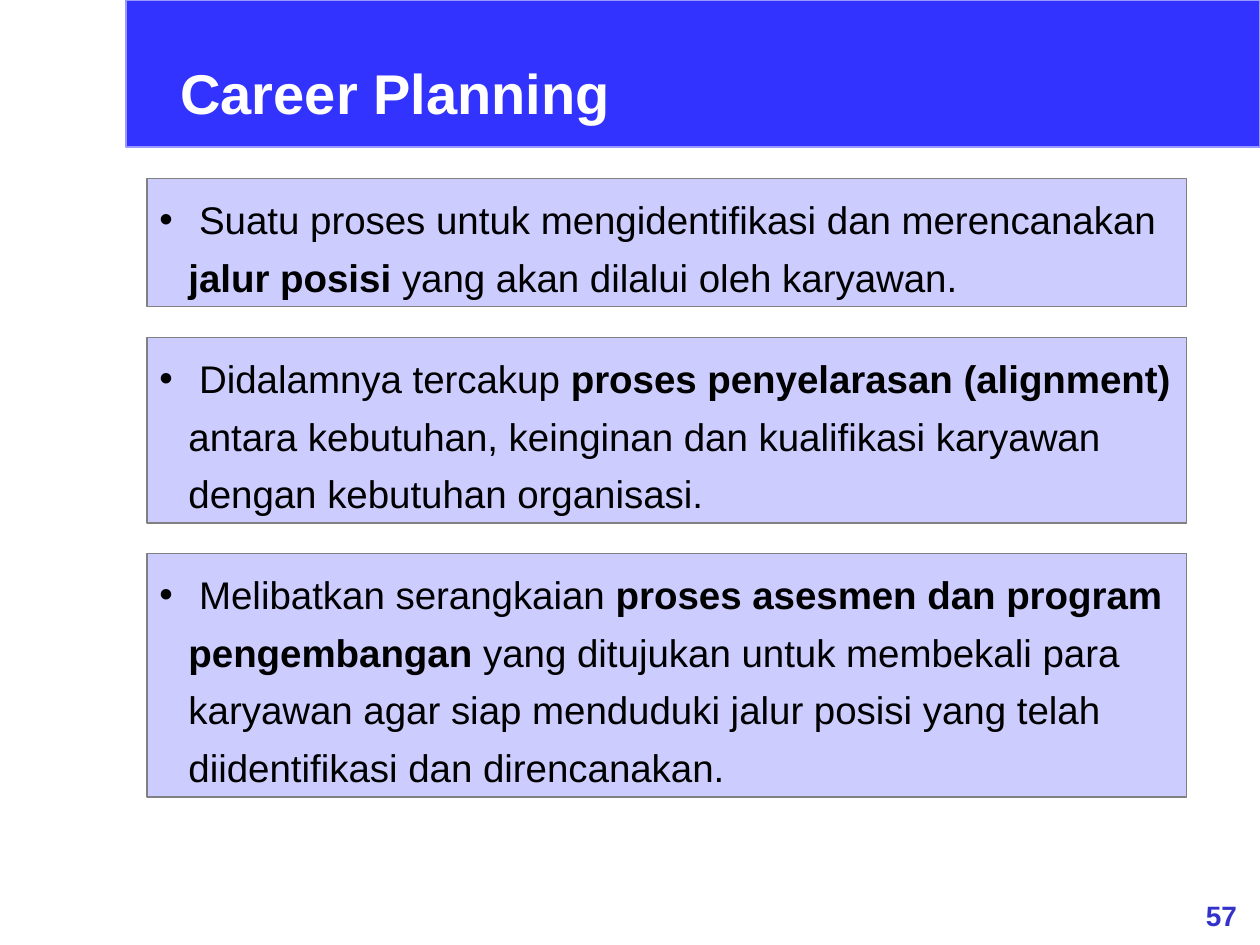
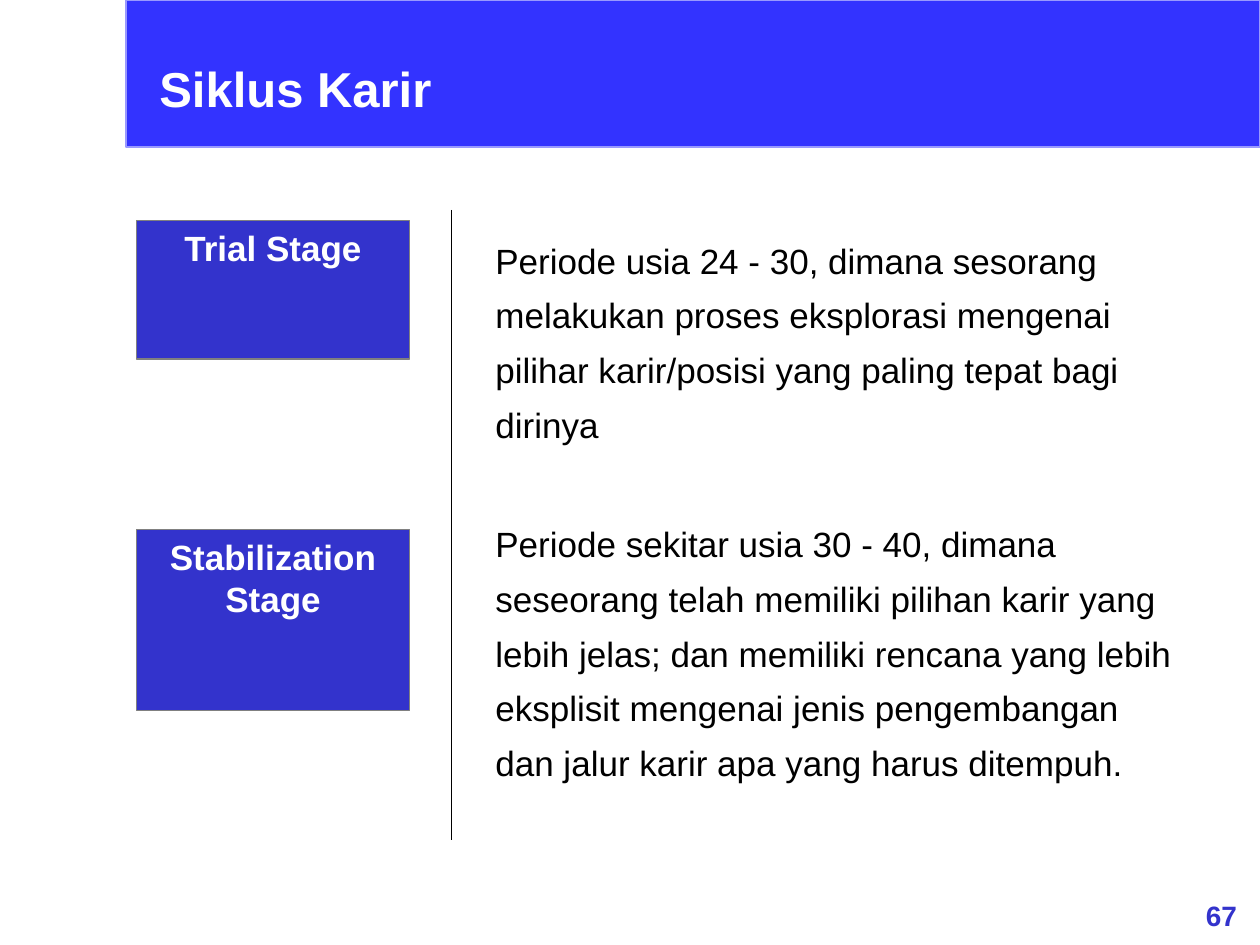
from typing import NamedTuple

from lxml.etree import SubElement
from pptx import Presentation
from pptx.dml.color import RGBColor
from pptx.enum.shapes import MSO_CONNECTOR, MSO_SHAPE
from pptx.enum.text import MSO_ANCHOR, PP_ALIGN
from pptx.oxml.ns import qn
from pptx.util import Pt

FONT = "Arial"
WHITE = RGBColor(0xFF, 0xFF, 0xFF)
BLACK = RGBColor(0x00, 0x00, 0x00)
GRAY = RGBColor(0x80, 0x80, 0x80)
BAND_BLUE = RGBColor(0x33, 0x33, 0xFF)
BAND_EDGE = RGBColor(0x99, 0x99, 0xFF)
DEEP_BLUE = RGBColor(0x33, 0x33, 0xCC)
LAVENDER = RGBColor(0xCC, 0xCC, 0xFF)

LINE_WIDTH = Pt(0.75)
BULLET_INDENT = Pt(16.6)
POINT_LINE_HEIGHT = 33
POINT_PADDING = 7.2
POINT_GAP = 17.3


class Box(NamedTuple):
    """Left, top, width and height in points."""
    left: float
    top: float
    width: float
    height: float

    def lengths(self):
        return [Pt(value) for value in self]


class Run(NamedTuple):
    text: str
    bold: bool = False


class Point(NamedTuple):
    line_count: int
    runs: list[Run]


class Stage(NamedTuple):
    name: str
    name_box: Box
    description: str
    description_box: Box


POINTS = [
    Point(2, [Run(" Suatu proses untuk mengidentifikasi dan merencanakan"),
              Run(" jalur posisi", True),
              Run(" yang akan dilalui oleh karyawan.")]),
    Point(3, [Run(" Didalamnya tercakup "),
              Run("proses penyelarasan (alignment) ", True),
              Run("antara kebutuhan, keinginan dan kualifikasi karyawan "
                  "dengan kebutuhan organisasi.")]),
    Point(4, [Run(" Melibatkan serangkaian "),
              Run("proses asesmen dan program pengembangan", True),
              Run(" yang ditujukan untuk membekali para karyawan agar siap "
                  "menduduki jalur posisi yang telah diidentifikasi dan "
                  "direncanakan.")]),
]

STAGES = [
    Stage("Trial Stage", Box(78, 126, 156, 79.2),
          "Periode usia 24 - 30, dimana sesorang melakukan proses eksplorasi "
          "mengenai pilihar karir/posisi yang paling tepat bagi dirinya",
          Box(276, 126, 402, 132.5)),
    Stage("Stabilization Stage", Box(78, 302.4, 156, 103.7),
          "Periode sekitar usia 30 - 40, dimana seseorang telah memiliki "
          "pilihan karir yang lebih jelas; dan memiliki rencana yang lebih "
          "eksplisit mengenai jenis pengembangan dan jalur karir apa yang "
          "harus ditempuh.",
          Box(276, 288, 402, 163.5)),
]


def add_bullet(paragraph) -> None:
    properties = paragraph._p.get_or_add_pPr()
    properties.set("marL", str(BULLET_INDENT))
    properties.set("indent", str(-BULLET_INDENT))
    SubElement(properties, qn("a:buFont"), typeface=FONT)
    SubElement(properties, qn("a:buChar"), char="•")


def write_text(shape, runs: list[Run], *, size: float, color: RGBColor = BLACK,
               align: PP_ALIGN = PP_ALIGN.LEFT, line_spacing: float = 1.0,
               bullet: bool = False, wrap: bool = True) -> None:
    frame = shape.text_frame
    frame.word_wrap = wrap
    frame.vertical_anchor = MSO_ANCHOR.TOP
    paragraph = frame.paragraphs[0]
    if bullet:
        add_bullet(paragraph)
    paragraph.alignment = align
    paragraph.line_spacing = line_spacing
    for text, bold in runs:
        run = paragraph.add_run()
        run.text = text
        run.font.name = FONT
        run.font.size = Pt(size)
        run.font.bold = bold
        run.font.color.rgb = color


def add_rectangle(slide, box: Box, fill: RGBColor, edge: RGBColor = GRAY):
    shape = slide.shapes.add_shape(MSO_SHAPE.RECTANGLE, *box.lengths())
    shape.shadow.inherit = False
    shape.fill.solid()
    shape.fill.fore_color.rgb = fill
    shape.line.color.rgb = edge
    shape.line.width = LINE_WIDTH
    return shape


def add_text(slide, box: Box, runs: list[Run], **text_format) -> None:
    write_text(slide.shapes.add_textbox(*box.lengths()), runs, **text_format)


def add_vertical_line(slide, x: float, top: float, bottom: float) -> None:
    connector = slide.shapes.add_connector(
        MSO_CONNECTOR.STRAIGHT, Pt(x), Pt(top), Pt(x), Pt(bottom))
    connector.line.color.rgb = BLACK
    connector.line.width = LINE_WIDTH
    SubElement(connector._element.spPr, qn("a:effectLst"))


def add_base_slide(presentation, title: str, title_box: Box, title_size: float,
                   number: int, wrap_title: bool = True):
    """Add a slide with the title band, title and page number."""
    slide = presentation.slides.add_slide(presentation.slide_layouts[6])
    add_rectangle(slide, Box(72, 0, 648, 84), BAND_BLUE, BAND_EDGE)
    add_text(slide, Box(676, 509.8, 44, 26.6), [Run(str(number), True)],
             size=16, color=DEEP_BLUE, align=PP_ALIGN.CENTER)
    add_text(slide, title_box, [Run(title, True)], size=title_size,
             color=WHITE, wrap=wrap_title)
    return slide


def build_career_planning(presentation) -> None:
    slide = add_base_slide(presentation, "Career Planning",
                           Box(96, 30, 260, 46), 32, 57, wrap_title=False)
    top = 102.2
    for point in POINTS:
        height = POINT_PADDING + point.line_count * POINT_LINE_HEIGHT
        shape = add_rectangle(slide, Box(84, top, 594, height), LAVENDER)
        write_text(shape, point.runs, size=22, line_spacing=1.25, bullet=True)
        top += height + POINT_GAP


def build_career_cycle(presentation) -> None:
    slide = add_base_slide(presentation, "Siklus Karir",
                           Box(84, 30, 564, 41), 28, 67)
    add_vertical_line(slide, 258, 120, 480)
    for stage in STAGES:
        shape = add_rectangle(slide, stage.name_box, DEEP_BLUE)
        write_text(shape, [Run(stage.name, True)], size=20, color=WHITE,
                   align=PP_ALIGN.CENTER)
        add_text(slide, stage.description_box, [Run(stage.description)],
                 size=20, line_spacing=1.3)


def main() -> None:
    presentation = Presentation()
    presentation.slide_width = Pt(720)
    presentation.slide_height = Pt(540)
    build_career_planning(presentation)
    build_career_cycle(presentation)
    presentation.save("out.pptx")


if __name__ == "__main__":
    main()
